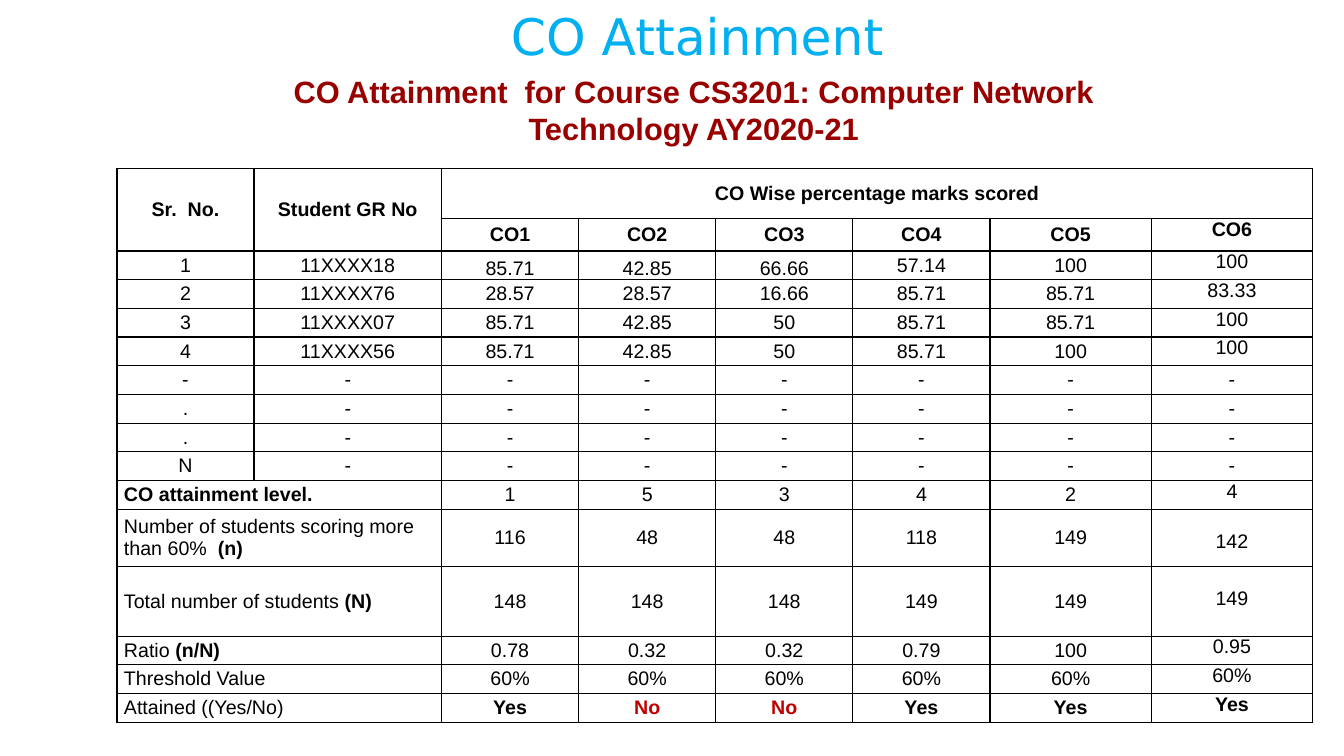
import dataclasses

import lxml.etree
import pptx
import pptx.dml.color
import pptx.enum.text
import pptx.oxml.ns
import pptx.util

Inches = pptx.util.Inches
Pt = pptx.util.Pt
Align = pptx.enum.text.PP_ALIGN
Anchor = pptx.enum.text.MSO_ANCHOR

COLOURS = {
    "title": "00B0F0",
    "subtitle": "990000",
    "text": "000000",
    "missed": "C00000",
}
COLUMN_WIDTHS = [1.36, 1.86, 1.36, 1.36, 1.36, 1.36, 1.6, 1.6]
OUTCOMES = ["CO1", "CO2", "CO3", "CO4", "CO5", "CO6"]
HEADER_HEIGHTS = [0.5, 0.32]
LINE_HEIGHT = 0.285
FIRST_OUTCOME = 2
LAST_COLUMN = len(COLUMN_WIDTHS) - 1


@dataclasses.dataclass
class Student:
    number: str
    register: str
    marks: list[str]


@dataclasses.dataclass
class Summary:
    label: str
    values: list[str]
    bold_label: str = ""
    height: float = LINE_HEIGHT
    bold_values: bool = False
    last_top: float = 0


@dataclasses.dataclass
class TextStyle:
    size: float = 14
    font: str = "Arial"
    colour: str = "text"
    bold: bool = False
    align: Align = Align.CENTER


STUDENTS = [
    Student("1", "11XXXX18", ["85.71", "42.85", "66.66", "57.14", "100", "100"]),
    Student("2", "11XXXX76", ["28.57", "28.57", "16.66", "85.71", "85.71", "83.33"]),
    Student("3", "11XXXX07", ["85.71", "42.85", "50", "85.71", "85.71", "100"]),
    Student("4", "11XXXX56", ["85.71", "42.85", "50", "85.71", "100", "100"]),
    *[Student(number, "-", ["-"] * 6) for number in ["-", ".", ".", "N"]],
]
SUMMARIES = [
    Summary("", ["1", "5", "3", "4", "2", "4"], "CO attainment level."),
    Summary("Number of students scoring more than 60% ",
            ["116", "48", "48", "118", "149", "142"], " (n)", 0.57, last_top=0.21),
    Summary("Total number of students ",
            ["148", "148", "148", "149", "149", "149"], "(N)", 0.69, last_top=0.21),
    Summary("Ratio ", ["0.78", "0.32", "0.32", "0.79", "100", "0.95"], "(n/N)"),
    Summary("Threshold Value", ["60%"] * 6),
    Summary("Attained ((Yes/No)", ["Yes", "No", "No", "Yes", "Yes", "Yes"],
            bold_values=True),
]


def write_text(frame, text: str, style: TextStyle, bold_text: str = "") -> None:
    """Fill the frame with one paragraph, ending in an optional bold run."""
    para = frame.paragraphs[0]
    para.alignment = style.align
    para.font.size = Pt(style.size)
    para.font.name = style.font
    para.font.color.rgb = pptx.dml.color.RGBColor.from_string(COLOURS[style.colour])
    para.font.bold = style.bold
    if text:
        para.add_run().text = text
    if bold_text:
        span = para.add_run()
        span.text = bold_text
        span.font.bold = True


def format_cell(cell) -> None:
    cell.margin_left = cell.margin_right = Inches(0.07)
    cell.margin_top = cell.margin_bottom = 0
    cell.vertical_anchor = Anchor.MIDDLE
    properties = cell._tc.get_or_add_tcPr()
    qn = pptx.oxml.ns.qn
    for side in ["lnL", "lnR", "lnT", "lnB"]:
        line = lxml.etree.SubElement(properties, qn(f"a:{side}"), w=str(Pt(1)))
        fill = lxml.etree.SubElement(line, qn("a:solidFill"))
        lxml.etree.SubElement(fill, qn("a:srgbClr"), val=COLOURS["text"])
    cell.fill.background()


def write_headers(table) -> None:
    bold = TextStyle(bold=True)
    for column, heading in enumerate(["Sr.  No.", "Student GR No"]):
        table.cell(0, column).merge(table.cell(1, column))
        write_text(table.cell(0, column).text_frame, heading, bold)
    table.cell(0, FIRST_OUTCOME).merge(table.cell(0, LAST_COLUMN))
    write_text(table.cell(0, FIRST_OUTCOME).text_frame,
               "CO Wise percentage marks scored", bold)
    for column, outcome in enumerate(OUTCOMES, FIRST_OUTCOME):
        write_text(table.cell(1, column).text_frame, outcome, bold)
    table.cell(1, LAST_COLUMN).vertical_anchor = Anchor.TOP


def write_student(table, row: int, student: Student) -> None:
    texts = [student.number, student.register, *student.marks]
    for column, text in enumerate(texts):
        write_text(table.cell(row, column).text_frame, text, TextStyle())
    if student.marks[-1] != "-":
        table.cell(row, LAST_COLUMN).vertical_anchor = Anchor.TOP


def write_summary(table, row: int, summary: Summary) -> None:
    table.cell(row, 0).merge(table.cell(row, 1))
    write_text(table.cell(row, 0).text_frame, summary.label,
               TextStyle(align=Align.LEFT), summary.bold_label)
    for column, value in enumerate(summary.values, FIRST_OUTCOME):
        colour = "missed" if value == "No" else "text"
        write_text(table.cell(row, column).text_frame, value,
                   TextStyle(colour=colour, bold=summary.bold_values))
    last = table.cell(row, LAST_COLUMN)
    last.vertical_anchor = Anchor.TOP
    last.margin_top = Inches(summary.last_top)


def add_attainment_table(page) -> None:
    heights = [*HEADER_HEIGHTS, *[LINE_HEIGHT] * len(STUDENTS),
               *[summary.height for summary in SUMMARIES]]
    table = page.shapes.add_table(
        len(heights), len(COLUMN_WIDTHS), Inches(1.16), Inches(1.67),
        Inches(sum(COLUMN_WIDTHS)), Inches(sum(heights))).table
    table.first_row = table.horz_banding = False
    for column, width in zip(table.columns, COLUMN_WIDTHS):
        column.width = Inches(width)
    for row, height in zip(table.rows, heights):
        row.height = Inches(height)
    for cell in table.iter_cells():
        format_cell(cell)

    write_headers(table)
    first_student = len(HEADER_HEIGHTS)
    for row, student in enumerate(STUDENTS, first_student):
        write_student(table, row, student)
    for column in range(FIRST_OUTCOME, FIRST_OUTCOME + 3):
        table.cell(first_student, column).vertical_anchor = Anchor.BOTTOM
    for row, summary in enumerate(SUMMARIES, first_student + len(STUDENTS)):
        write_summary(table, row, summary)


def add_headings(page) -> None:
    title = page.shapes.title
    title.left, title.top = Inches(2.33), 0
    title.width, title.height = Inches(9.33), Inches(0.71)
    title.text_frame.vertical_anchor = Anchor.TOP
    title.text_frame.auto_size = pptx.enum.text.MSO_AUTO_SIZE.NONE
    write_text(title.text_frame, "CO Attainment ",
               TextStyle(36, "DejaVu Sans", "title"))

    box = page.shapes.add_textbox(Inches(2.42), Inches(0.67), Inches(8.92), Inches(0.84))
    box.text_frame.word_wrap = True
    box.text_frame.vertical_anchor = Anchor.MIDDLE
    write_text(box.text_frame,
               "CO Attainment  for Course CS3201: Computer Network Technology AY2020-21",
               TextStyle(22, colour="subtitle", bold=True))


def main() -> None:
    deck = pptx.Presentation()
    deck.slide_width, deck.slide_height = Inches(13.33), Inches(7.5)
    page = deck.slides.add_slide(deck.slide_layouts[5])
    add_headings(page)
    add_attainment_table(page)
    deck.save("out.pptx")


if __name__ == "__main__":
    main()
